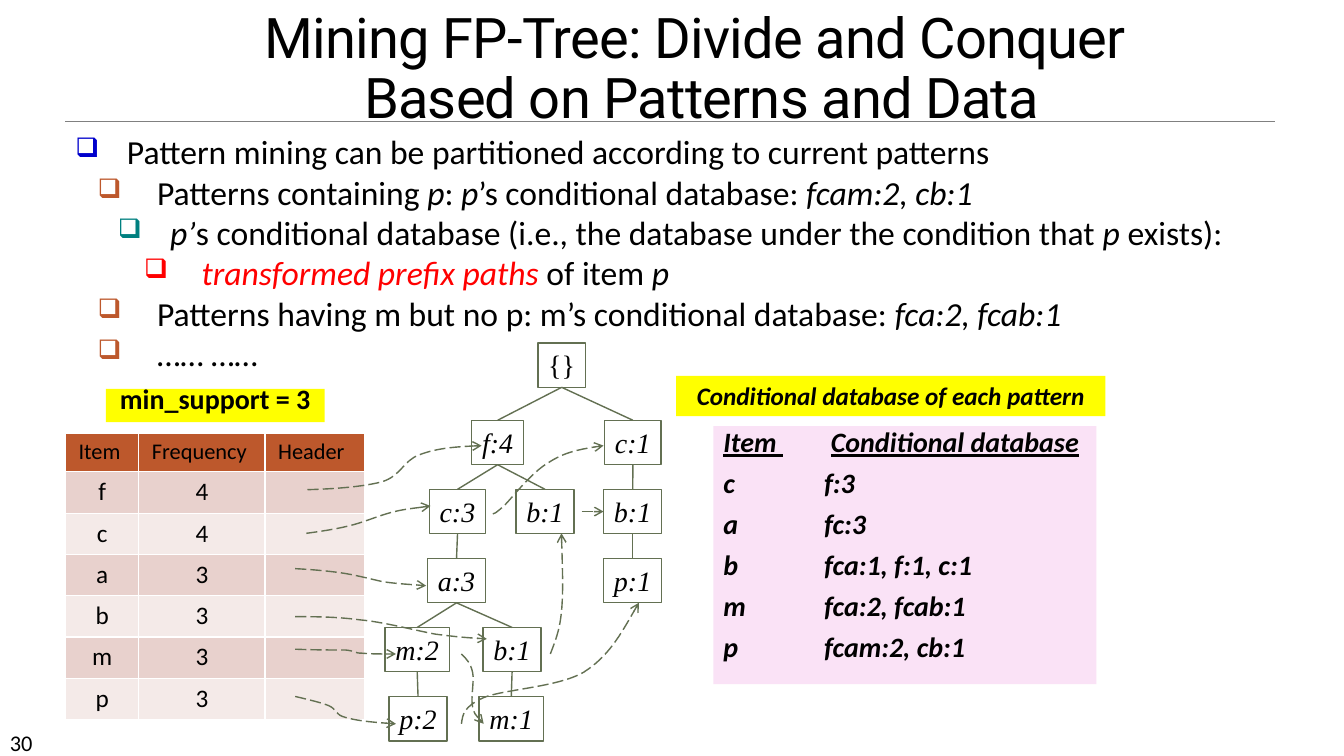
from dataclasses import dataclass

from lxml import etree
from pptx import Presentation
from pptx.dml.color import RGBColor
from pptx.enum.dml import MSO_LINE
from pptx.enum.shapes import MSO_CONNECTOR, MSO_SHAPE
from pptx.enum.text import MSO_ANCHOR, PP_ALIGN
from pptx.oxml.ns import qn
from pptx.util import Cm, Pt

STRAIGHT, RECTANGLE = MSO_CONNECTOR.STRAIGHT, MSO_SHAPE.RECTANGLE
LEFT, CENTER = PP_ALIGN.LEFT, PP_ALIGN.CENTER
TOP, BOTTOM = MSO_ANCHOR.TOP, MSO_ANCHOR.BOTTOM
LONG_DASH = MSO_LINE.LONG_DASH
BOTTOM_SIDE, TOP_SIDE, LEFT_SIDE = 2, 0, 1


@dataclass(frozen=True)
class Theme:
    title_font: str = "Roboto"
    font: str = "Calibri"
    tree_font: str = "Times New Roman"
    black: str = "000000"
    red: str = "FF0000"
    rule: str = "808080"
    tree: str = "637052"
    yellow: str = "FFFF00"
    pink: str = "FAE2F6"
    header: str = "BD582C"
    bands: tuple = ("E8D1CD", "F4EAE8")
    bullets: tuple = ("0000CC", "BD582C", "008080", "FF0000")
    title: int = 40
    body: int = 24
    large: int = 20
    medium: int = 18
    small: int = 16


THEME = Theme()

# Content
TITLE = ("Mining FP-Tree: Divide and Conquer ", "Based on Patterns and Data")
PAGE_NUMBER = "30"
# (level, runs); a run is (text, italic) and optionally a colour
OUTLINE = [
    (0, [("Pattern mining can be partitioned according to current patterns", False)]),
    (1, [("Patterns containing ", False), ("p", True), (": ", False), ("p", True),
         ("’s conditional database: ", False), ("fcam:2, cb:1", True)]),
    (2, [("p’", True), ("s conditional database (i.e., the database under the condition that ", False),
         ("p", True), (" exists):", False)]),
    (3, [("transformed prefix paths ", True, THEME.red), ("of item ", False), ("p", True)]),
    (1, [("Patterns having m but no p: m’s conditional database: ", False), ("fca:2, fcab:1", True)]),
    (1, [("…… ……", False)]),
]
INDENTS = [(1.3, 1.3), (2.06, 1.5), (2.39, 1.32), (3.18, 1.45)]  # text start, hanging
FREQUENCIES = [("Item", "Frequency", "Header"), ("f", "4", ""), ("c", "4", ""),
               ("a", "3", ""), ("b", "3", ""), ("m", "3", ""), ("p", "3", "")]
COLUMN_WIDTHS = (1.85, 3.18, 2.51)
MIN_SUPPORT = "min_support = 3"
CONDITIONAL_LABEL = "Conditional database of each pattern"
CONDITIONAL = [("c", "f:3"), ("a", "fc:3"), ("b", "fca:1, f:1, c:1"),
               ("m", "fca:2, fcab:1"), ("p", "fcam:2, cb:1")]
# name: (label, depth, left, width)
NODES = {
    "root": ("{}", 0, 13.56, 1.19),
    "f": ("f:4", 1, 11.89, 1.3), "c right": ("c:1", 1, 15.24, 1.42),
    "c": ("c:3", 2, 10.82, 1.42), "b": ("b:1", 2, 13, 1.47), "b right": ("b:1", 2, 15.21, 1.47),
    "a": ("a:3", 3, 10.77, 1.47), "p right": ("p:1", 3, 15.21, 1.47),
    "m": ("m:2", 4, 9.7, 1.63), "b low": ("b:1", 4, 12.17, 1.47),
    "p": ("p:2", 5, 9.8, 1.47), "m low": ("m:1", 5, 12.07, 1.63),
}
EDGES = [("root", "f"), ("root", "c right"), ("f", "c"), ("f", "b"), ("c right", "b right"),
         ("b right", "p right"), ("c", "a"), ("a", "m"), ("a", "b low"), ("m", "p"), ("b low", "m low")]
# Start point, then three control points for each Bézier piece
NODE_LINKS = [
    [(7.75, 12.34), (8.43, 12.32), (9.14, 12.27), (9.63, 12.14), (10.11, 11.99), (10.16, 11.61),
     (10.57, 11.46), (11, 11.3), (11.56, 11.25), (12.14, 11.23)],
    [(12.42, 12.95), (12.45, 12.95), (12.47, 12.95), (12.7, 12.75), (12.93, 12.52), (13.39, 11.91),
     (13.82, 11.66), (14.22, 11.4), (14.71, 11.3), (15.21, 11.23)],
    [(7.44, 14.33), (7.82, 14.35), (8.18, 14.38), (8.56, 14.43), (8.92, 14.48), (9.3, 14.58),
     (9.65, 14.66), (10.01, 14.71), (10.39, 14.73), (10.74, 14.76)],
    [(7.44, 15.54), (7.95, 15.54), (8.46, 15.54), (9.07, 15.62), (9.65, 15.67), (10.44, 15.88),
     (10.97, 15.98), (11.51, 16.05), (11.89, 16.08), (12.27, 16.1)],
    [(13.87, 16.48), (13.97, 16.21), (14.1, 15.93), (14.15, 15.42), (14.2, 14.91), (14.17, 14.17),
     (14.15, 13.44)],
    [(7.44, 16.36), (7.95, 16.38), (8.43, 16.38), (8.71, 16.38), (8.99, 16.41), (8.92, 16.46),
     (9.12, 16.46), (9.35, 16.48), (9.65, 16.48), (9.98, 16.48)],
    [(11.63, 16.48), (11.76, 16.61), (11.86, 16.71), (11.91, 16.94), (11.96, 17.15), (11.86, 17.58),
     (11.91, 17.81), (11.96, 18.01), (12.09, 18.14), (12.19, 18.24)],
    [(7.44, 17.55), (7.77, 17.63), (8.08, 17.7), (8.28, 17.78), (8.51, 17.88), (8.43, 18.01),
     (8.71, 18.08), (8.99, 18.16), (9.47, 18.21), (9.98, 18.24)],
    [(11.63, 18.24), (11.66, 18.01), (11.68, 17.81), (12.19, 17.58), (12.7, 17.37), (14.05, 17.32),
     (14.71, 16.94), (15.34, 16.54), (15.72, 15.85), (16.1, 15.19)],
    [(7.72, 13.44), (8.08, 13.39), (8.43, 13.34), (8.76, 13.26), (9.12, 13.18), (9.45, 13.03),
     (9.8, 12.93), (10.16, 12.83), (10.52, 12.8), (10.85, 12.75)],
]
ROOT_TOP, FIRST_ROW_TOP, ROW_STEP, NODE_HEIGHT = 8.64, 10.59, 1.74, 1.12


def add_span(para, text, size, font=THEME.font, color=THEME.black, bold=False, italic=False, underline=False):
    span = para.add_run()
    span.text = text
    face = span.font
    face.name, face.size, face.color.rgb = font, Pt(size), RGBColor.from_string(color)
    face.bold, face.italic, face.underline = bold, italic, underline
    return span


def add_box(page, left, top, width, height, fill=None, line=None, align=LEFT, wrap=True):
    box = page.shapes.add_shape(RECTANGLE, Cm(left), Cm(top), Cm(width), Cm(height))
    box.shadow.inherit = False
    for part, color in ((box.fill, fill), (box.line.fill, line)):
        if color:
            part.solid()
            part.fore_color.rgb = RGBColor.from_string(color)
        else:
            part.background()
    if line:
        box.line.width = Pt(1)
    frame = box.text_frame
    frame.word_wrap, frame.vertical_anchor = wrap, TOP
    frame.paragraphs[0].alignment = align
    return box


def style_line(item, color=THEME.tree, width=1, arrow=False):
    item.line.color.rgb, item.line.width = RGBColor.from_string(color), Pt(width)
    if arrow:
        item.line.dash_style = LONG_DASH
        etree.SubElement(item.line._get_or_add_ln(), qn("a:tailEnd"), type="arrow")


def add_line(page, x1, y1, x2, y2, **style):
    line = page.shapes.add_connector(STRAIGHT, Cm(x1), Cm(y1), Cm(x2), Cm(y2))
    style_line(line, **style)
    etree.SubElement(line.element.spPr, qn("a:effectLst"))
    return line


def add_curve(page, points):
    start, *rest = [(Cm(x), Cm(y)) for x, y in points]
    builder = page.shapes.build_freeform(*start)
    builder.add_line_segments(rest, close=False)
    curve = builder.convert_to_shape()
    curve.shadow.inherit = False
    curve.fill.background()
    style_line(curve, arrow=True)
    # Each three segments become one Bézier piece
    segments = list(curve.element.iter(qn("a:lnTo")))
    for first, second, third in zip(segments[::3], segments[1::3], segments[2::3]):
        first.tag = qn("a:cubicBezTo")
        for extra in (second, third):
            first.append(extra[0])
            extra.getparent().remove(extra)


def add_bullet(para, level):
    para.level = level
    start, hanging = INDENTS[level]
    props = para._p.get_or_add_pPr()
    props.set("marL", str(Cm(start)))
    props.set("indent", str(-Cm(hanging)))
    color = etree.SubElement(props, qn("a:buClr"))
    etree.SubElement(color, qn("a:srgbClr"), val=THEME.bullets[level])
    etree.SubElement(props, qn("a:buSzPct"), val="80000")
    etree.SubElement(props, qn("a:buChar"), char="❑")


def set_tabs(para, stops):
    tabs = etree.SubElement(para._p.get_or_add_pPr(), qn("a:tabLst"))
    for stop in stops:
        etree.SubElement(tabs, qn("a:tab"), pos=str(Cm(stop)), algn="l")


def main():
    deck = Presentation()
    deck.slide_width, deck.slide_height = Cm(33.87), Cm(19.05)
    page = deck.slides.add_slide(deck.slide_layouts[5])

    # Title, rule and page number
    title = page.shapes.title
    title.left, title.top, title.width, title.height = Cm(3.86), Cm(-0.23), Cm(27.64), Cm(3.66)
    title.text_frame.vertical_anchor, title.text_frame.word_wrap = BOTTOM, True
    para = title.text_frame.paragraphs[0]
    para.alignment, para.line_spacing = CENTER, 0.9
    for index, text in enumerate(TITLE):
        if index:
            para.add_line_break()
        span = add_span(para, text, THEME.title, THEME.title_font)
        span.font._element.set("spc", "-50")
    add_line(page, 1.65, 3.05, 32.13, 3.05, color=THEME.rule, width=0.5)
    number = add_box(page, 0, 18.24, 2.97, 0.76)
    add_span(number.text_frame.paragraphs[0], PAGE_NUMBER, THEME.small)

    # Outline
    frame = add_box(page, 1.65, 3.18, 29.64, 6.27).text_frame
    for index, (level, runs) in enumerate(OUTLINE):
        para = frame.add_paragraph() if index else frame.paragraphs[0]
        add_bullet(para, level)
        for text, italic, *color in runs:
            add_span(para, text, THEME.body, italic=italic, color=color[0] if color else THEME.black)

    # Frequency table
    table = page.shapes.add_table(len(FREQUENCIES), len(COLUMN_WIDTHS), Cm(1.65), Cm(10.92),
                                  Cm(sum(COLUMN_WIDTHS)), Cm(7.21)).table
    for column, width in zip(table.columns, COLUMN_WIDTHS):
        column.width = Cm(width)
    for r, values in enumerate(FREQUENCIES):
        table.rows[r].height = Cm(1.04 if r else 0.97)
        for c, text in enumerate(values):
            cell = table.cell(r, c)
            cell.margin_left = cell.margin_right = Cm(0.33)
            cell.fill.solid()
            cell.fill.fore_color.rgb = RGBColor.from_string(THEME.bands[(r - 1) % 2] if r else THEME.header)
            para = cell.text_frame.paragraphs[0]
            para.alignment = CENTER if r else LEFT
            if text:
                add_span(para, text, THEME.medium if r else THEME.small)

    # FP-tree
    boxes = {}
    for name, (label, depth, left, width) in NODES.items():
        top = FIRST_ROW_TOP + (depth - 1) * ROW_STEP if depth else ROOT_TOP
        boxes[name] = add_box(page, left, top, width, NODE_HEIGHT, line=THEME.tree, align=CENTER, wrap=False)
        add_span(boxes[name].text_frame.paragraphs[0], label, THEME.large, THEME.tree_font, italic=depth > 0)
    for parent, child in EDGES:
        edge = add_line(page, 0, 0, 1, 1)
        edge.begin_connect(boxes[parent], BOTTOM_SIDE)
        edge.end_connect(boxes[child], TOP_SIDE)

    # Header and node links
    for points in NODE_LINKS:
        add_curve(page, points)
    link = add_line(page, 14.66, 12.89, 15.21, 12.89, arrow=True)
    link.end_connect(boxes["b right"], LEFT_SIDE)

    # Conditional databases
    frame = add_box(page, 17.98, 10.74, 9.65, 6.5, fill=THEME.pink).text_frame
    heading = [("Item \t", True), ("\t", False), ("Conditional database", True)]
    rows = [heading] + [[(f"{item}\t{database}", False)] for item, database in CONDITIONAL]
    for index, runs in enumerate(rows):
        para = frame.add_paragraph() if index else frame.paragraphs[0]
        para.line_spacing, para.space_before = 0.8, Pt(10 if index else 0)
        set_tabs(para, (2.54,) if index else (1.52, 2.71))
        for text, underline in runs:
            add_span(para, text, THEME.large, bold=True, italic=True, underline=underline)

    # Yellow labels
    label = add_box(page, 17.04, 9.47, 10.82, 1.02, fill=THEME.yellow, align=CENTER)
    add_span(label.text_frame.paragraphs[0], CONDITIONAL_LABEL, THEME.medium, bold=True, italic=True)
    support = add_box(page, 2.67, 9.8, 5.51, 0.84, fill=THEME.yellow, align=CENTER)
    support.text_frame.paragraphs[0].line_spacing = 0.6
    add_span(support.text_frame.paragraphs[0], MIN_SUPPORT, THEME.large, bold=True)

    deck.save("out.pptx")


if __name__ == "__main__":
    main()
